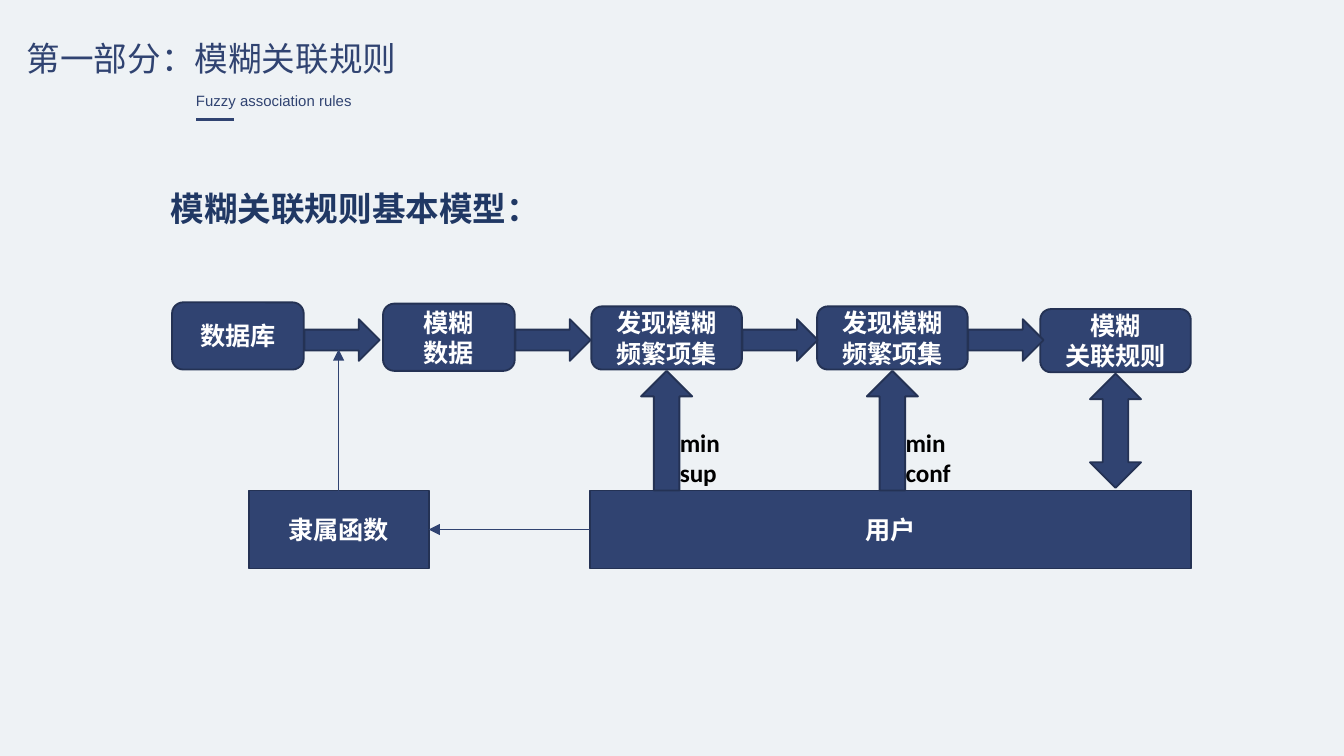
from lxml.etree import SubElement
from pptx import Presentation
from pptx.dml.color import RGBColor
from pptx.enum.shapes import MSO_CONNECTOR, MSO_SHAPE
from pptx.enum.text import MSO_ANCHOR, PP_ALIGN
from pptx.oxml.ns import qn
from pptx.util import Inches, Pt

HUES = {"back": "EEF2F5", "navy": "304371", "edge": "243254",
        "topic": "203864", "white": "FFFFFF", "black": "000000"}
CJK = "Noto Sans CJK SC"
COLS = 100  # square grid cells across the slide

deck = Presentation()
deck.slide_width = Inches(10)
deck.slide_height = deck.slide_width * 9 // 16
CELL = deck.slide_width / COLS
slide = deck.slides.add_slide(deck.slide_layouts[6])
parts = slide.shapes


def hue(name):
    return RGBColor.from_string(HUES[name])


def grid(*cells):
    return [round(n * CELL) for n in cells]


def put(frame, text, size=13.5, font="Calibri", color="white", bold=True,
        align=PP_ALIGN.LEFT):
    """Write text in a frame, one paragraph a line."""
    for i, line in enumerate(text.split("\n")):
        para = frame.add_paragraph() if i else frame.paragraphs[0]
        para.alignment = align
        run = para.add_run()
        run.text = line
        run.font.size, run.font.name, run.font.bold = Pt(size), font, bold
        run.font.color.rgb = hue(color)
        SubElement(run.font._element, qn("a:ea"), typeface=CJK)


def label(box, text, wrap=False, **style):
    frame = parts.add_textbox(*grid(*box)).text_frame
    frame.word_wrap = wrap
    if wrap:
        frame.margin_right = Inches(0.2)
    put(frame, text, **style)


def block(kind, box, text=""):
    shape = parts.add_shape(kind, *grid(*box))
    shape.shadow.inherit = False
    shape.fill.solid()
    shape.fill.fore_color.rgb = hue("navy")
    shape.line.color.rgb = hue("edge")
    shape.line.width = Pt(1)
    if text:
        shape.text_frame.vertical_anchor = MSO_ANCHOR.MIDDLE
        put(shape.text_frame, text, align=PP_ALIGN.CENTER)
    return shape


def line(ends, width, arrow=False):
    link = parts.add_connector(MSO_CONNECTOR.STRAIGHT, *grid(*ends))
    link.line.color.rgb = hue("navy")
    link.line.width = Pt(width)
    if arrow:
        SubElement(link.line._get_or_add_ln(), qn("a:tailEnd"), type="triangle")
    SubElement(link._element.spPr, qn("a:effectLst"))
    return link


def header(x, y):
    """Part title, English subtitle and short rule."""
    label((x, y, 29.8, 4), "第一部分：模糊关联规则", size=18, font=CJK,
          color="navy", bold=False)
    label((x + 12.6, y + 4, 13.7, 2.4), "Fuzzy association rules", size=8,
          font="Arial", color="navy", bold=False)
    line((x + 13.6, y + 6.6, x + 16.4, y + 6.6), 1.5)


def flow(x, y):
    """Row of steps with arrows between; returns the box of each step."""
    steps = [(0, 0, 9.8, 5, "数据库"), (15.7, 0.1, 9.8, 5, "模糊\n数据"),
             (31.2, 0.3, 11.2, 4.7, "发现模糊\n频繁项集"),
             (48, 0.3, 11.2, 4.7, "发现模糊\n频繁项集"),
             (64.6, 0.5, 11.2, 4.7, "模糊\n关联规则")]
    boxes = [(x + dx, y + dy, w, h) for dx, dy, w, h, _ in steps]
    for box, step in zip(boxes, steps):
        block(MSO_SHAPE.ROUNDED_RECTANGLE, box, step[-1])
    for left, _, w, _ in boxes[:-1]:
        block(MSO_SHAPE.RIGHT_ARROW, (left + w + 0.05, y + 1.25, 5.6, 3.1))
    return boxes


def base(x, y, tall):
    """User bar feeding the membership function, which feeds the flow."""
    user = block(MSO_SHAPE.RECTANGLE, (x + 25.4, y, 44.7, tall), "用户")
    member = block(MSO_SHAPE.RECTANGLE, (x, y, 13.4, tall), "隶属函数")
    mid = y + tall / 2
    feed = line((x + 25.4, mid, x + 13.4, mid), 0.5, arrow=True)
    feed.begin_connect(user, 1)
    feed.end_connect(member, 3)
    rise = line((x + 6.7, y, x + 6.7, 26), 0.5, arrow=True)
    rise.begin_connect(member, 0)


def lifts(boxes, floor):
    """Upright arrows from the user bar to the last three steps."""
    kinds = [(MSO_SHAPE.UP_ARROW, "min sup", 0),
             (MSO_SHAPE.UP_ARROW, "min conf", 0),
             (MSO_SHAPE.UP_DOWN_ARROW, "", 0.2)]
    for (x, y, w, h), (kind, text, gap) in zip(boxes, kinds):
        mid, top = x + w / 2, y + h + 0.1
        block(kind, (mid - 1.9, top, 3.8, floor - gap - top))
        if text:
            label((mid, floor - 5.2, 8, 3.3), text, wrap=True, color="black")


# Background
slide.background.fill.solid()
slide.background.fill.fore_color.rgb = hue("back")

# Headings
header(1, 2.3)
label((11.7, 13.5, 29.8, 4), "模糊关联规则基本模型：", size=18, color="topic")

# Model diagram
steps = flow(12.8, 22.5)
base(18.5, 36.5, 5.8)
lifts(steps[2:], 36.5)

deck.save("out.pptx")
